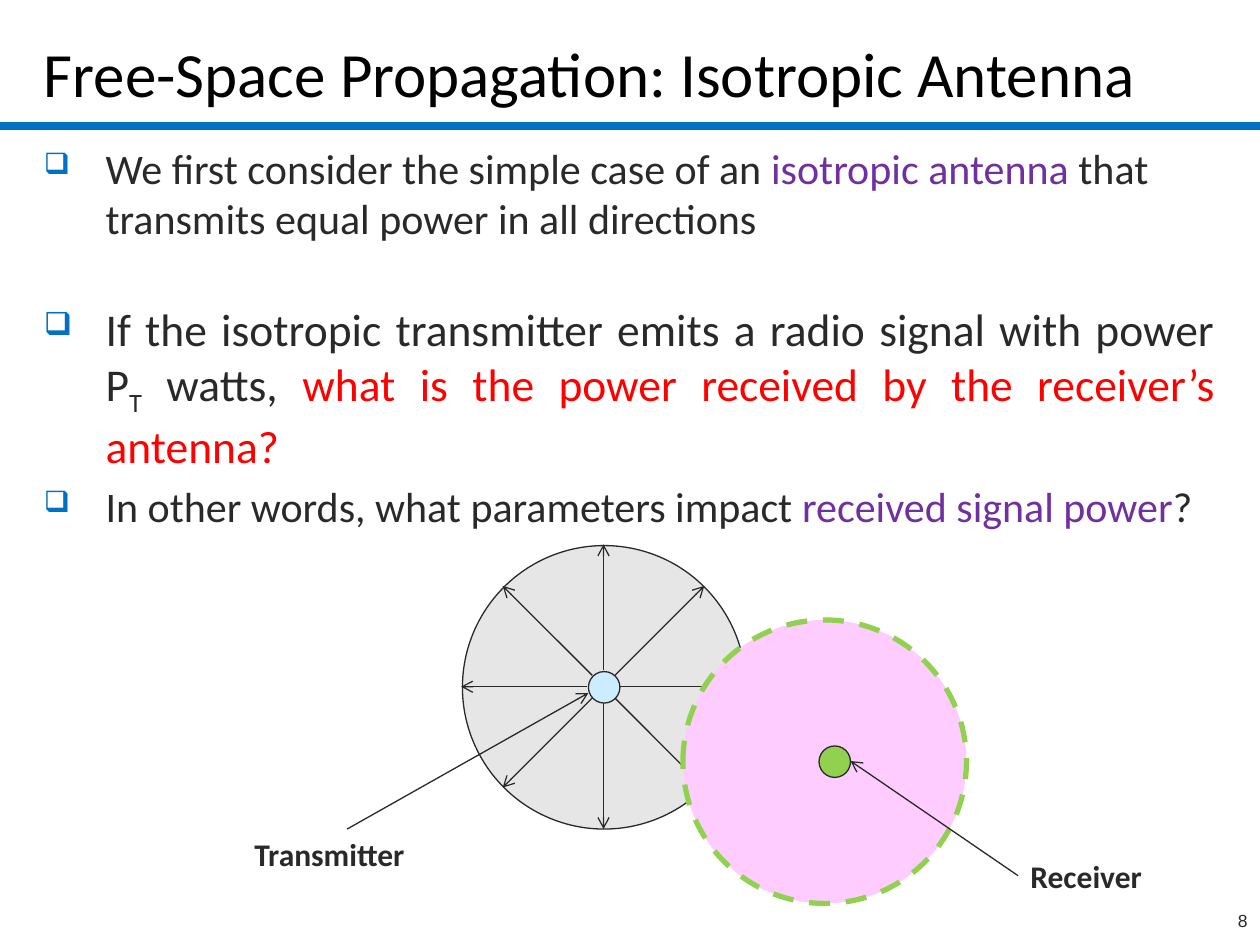
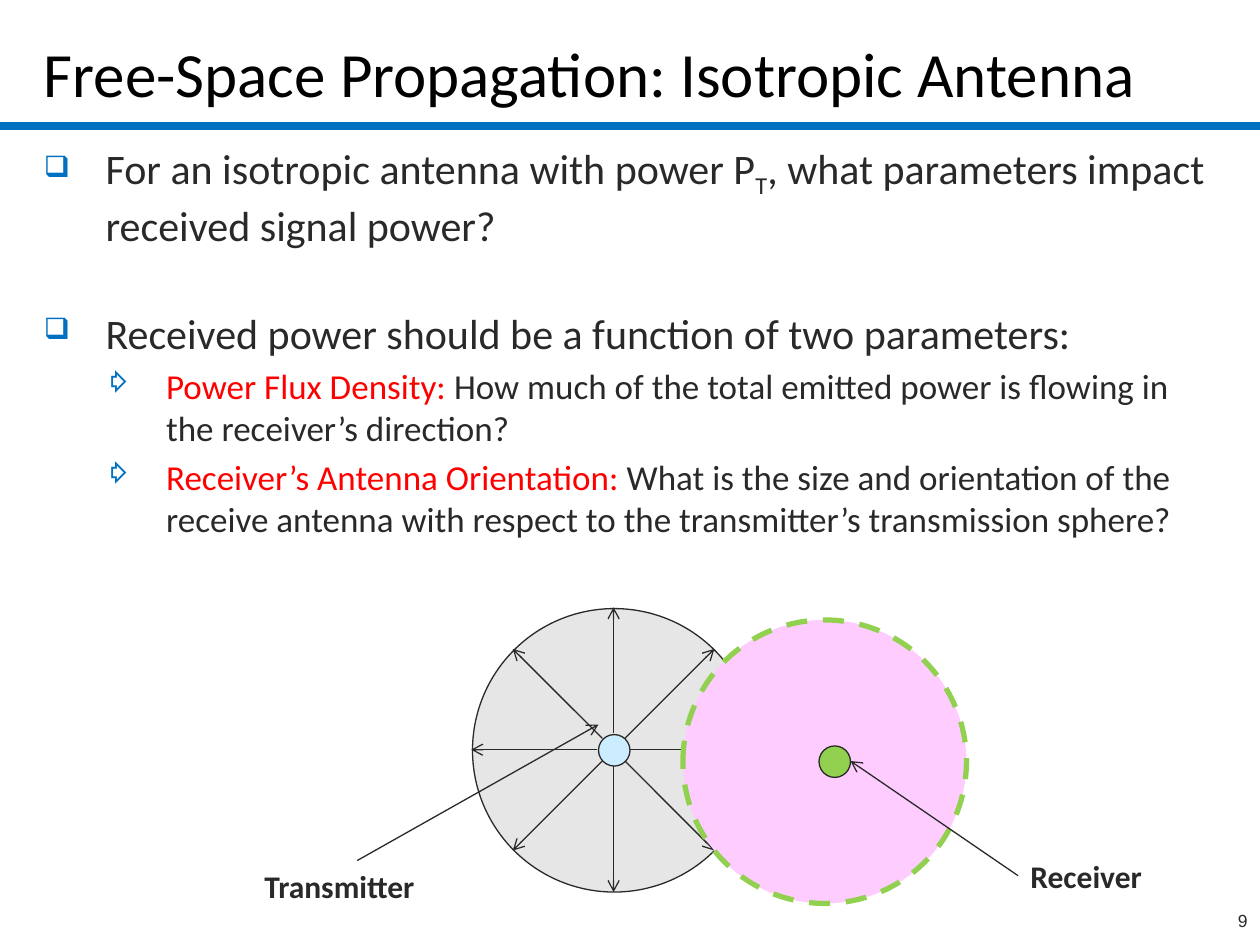
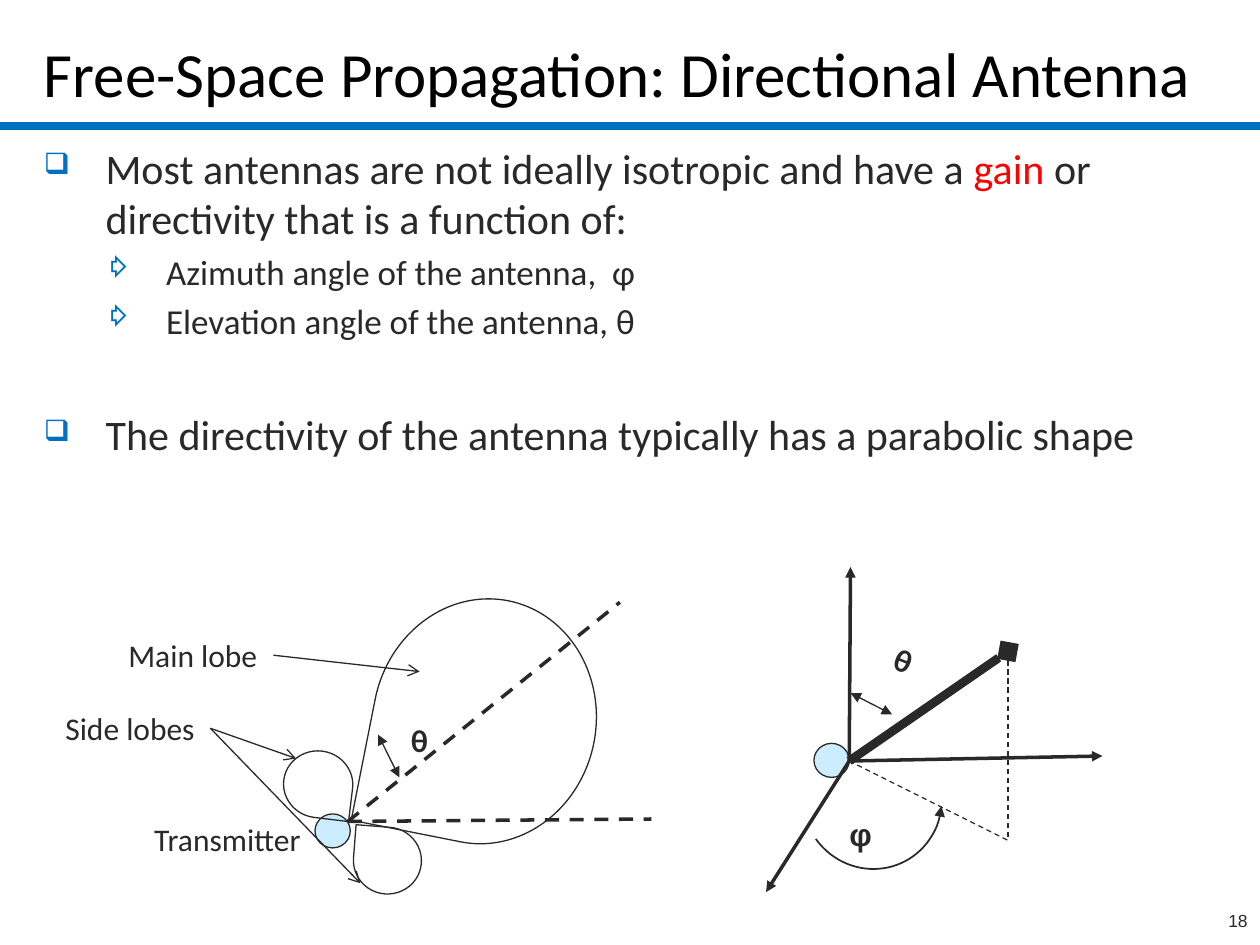
"""Build three lecture slides on free-space propagation."""
from dataclasses import dataclass
from math import cos, radians, sin
from typing import NamedTuple

from lxml.etree import SubElement
from pptx import Presentation
from pptx.dml.color import RGBColor
from pptx.enum.dml import MSO_LINE
from pptx.enum.shapes import MSO_CONNECTOR, MSO_SHAPE
from pptx.enum.text import MSO_ANCHOR, PP_ALIGN
from pptx.oxml.ns import qn
from pptx.util import Emu, Pt

EMU_PER_PX = 9144


@dataclass(frozen=True)
class Theme:
    """Colours, fonts and type sizes of the deck."""
    ink: str = "292929"
    title: str = "000000"
    accent: str = "0070C0"
    term: str = "7030A0"
    alert: str = "FF0000"
    sphere: str = "E6E6E6"
    antenna: str = "CCECFF"
    reach: str = "FFCCFF"
    receiver: str = "92D050"
    font: str = "Calibri"
    number_font: str = "Arial"
    title_size: int = 36
    point_size: int = 24
    question_size: int = 26
    detail_size: int = 20
    label_size: int = 18
    number_size: int = 10
    thin: float = 0.75
    axis: float = 2
    heavy: float = 5


THEME = Theme()


class Box(NamedTuple):
    """Left, top, width and height in px."""
    left: int
    top: int
    width: int
    height: int


class Spot(NamedTuple):
    """A place on the slide in px."""
    x: int
    y: int


class Span(NamedTuple):
    """A stretch of text in one colour, perhaps lowered."""
    text: str
    color: str = THEME.ink
    lowered: bool = False


class Marker(NamedTuple):
    """Bullet sign, its size in percent, and the hanging indent in px."""
    sign: str
    percent: int
    margin: int
    hang: int


MARKERS = (Marker("❑", 70, 49, 49), Marker("⇨", 65, 97, 48))


@dataclass(frozen=True)
class Point:
    """A bulleted paragraph; gap is extra space above it in points."""
    spans: tuple[Span, ...]
    level: int = 0
    size: int = THEME.point_size
    gap: float = 0
    align: PP_ALIGN = PP_ALIGN.LEFT


class Pointer(NamedTuple):
    """An arrow from a side of a label to a target."""
    side: int
    target: Spot


@dataclass(frozen=True)
class Label:
    """A caption in the diagram with its pointers."""
    text: str
    box: Box
    pointers: tuple[Pointer, ...] = ()
    bold: bool = False
    align: PP_ALIGN = PP_ALIGN.LEFT
    font: str = THEME.font
    rotation: float = 0


@dataclass(frozen=True)
class Stroke:
    """A straight line with optional arrowheads."""
    start: Spot
    end: Spot
    width: float = THEME.thin
    color: str = THEME.ink
    dashed: bool = False
    head: str = ""
    tail: str = ""


@dataclass(frozen=True)
class Figure:
    """A preset shape; an empty fill leaves it open."""
    kind: MSO_SHAPE
    box: Box
    fill: str = ""
    line: str = THEME.ink
    width: float = THEME.thin
    dashed: bool = False
    rotation: float = 0


def px(length: float) -> Emu:
    """Turn px into EMU."""
    return Emu(round(length * EMU_PER_PX))


def style_run(run, size: int, color: str, font: str = THEME.font, bold: bool = False) -> None:
    """Give a run its font, size and colour."""
    run.font.name, run.font.size, run.font.bold = font, Pt(size), bold
    run.font.color.rgb = RGBColor.from_string(color)


def add_box(slide, box: Box):
    """Add an empty wrapping text box."""
    holder = slide.shapes.add_textbox(*map(px, box))
    holder.text_frame.word_wrap = True
    return holder


def add_line_of_text(slide, box: Box, text: str, size: int, color: str = THEME.ink,
                     font: str = THEME.font, bold: bool = False,
                     align: PP_ALIGN = PP_ALIGN.LEFT):
    """Add a text box that holds one paragraph in one style."""
    holder = add_box(slide, box)
    holder.text_frame.text = text
    paragraph = holder.text_frame.paragraphs[0]
    paragraph.alignment = align
    style_run(paragraph.runs[0], size, color, font, bold)
    return holder


def add_arrowheads(shape, head: str, tail: str) -> None:
    """Put arrowheads on the ends of a line."""
    outline = shape.line._get_or_add_ln()
    for tag, kind in (("a:headEnd", head), ("a:tailEnd", tail)):
        if kind:
            SubElement(outline, qn(tag)).set("type", kind)


def style_line(line, color: str, width: float, dashed: bool) -> None:
    """Give an outline its colour, width and dash."""
    line.color.rgb = RGBColor.from_string(color)
    line.width = Pt(width)
    if dashed:
        line.dash_style = MSO_LINE.DASH


def add_stroke(slide, stroke: Stroke):
    """Draw a straight connector."""
    connector = slide.shapes.add_connector(
        MSO_CONNECTOR.STRAIGHT, *map(px, (*stroke.start, *stroke.end)))
    style_line(connector.line, stroke.color, stroke.width, stroke.dashed)
    add_arrowheads(connector, stroke.head, stroke.tail)
    SubElement(connector._element.spPr, qn("a:effectLst"))
    return connector


def add_figure(slide, figure: Figure):
    """Draw a preset shape."""
    shape = slide.shapes.add_shape(figure.kind, *map(px, figure.box))
    shape.shadow.inherit = False
    shape.rotation = figure.rotation
    if figure.fill:
        shape.fill.solid()
        shape.fill.fore_color.rgb = RGBColor.from_string(figure.fill)
    else:
        shape.fill.background()
    style_line(shape.line, figure.line, figure.width, figure.dashed)
    return shape


def add_label(slide, label: Label) -> None:
    """Write a caption and draw its pointers."""
    caption = add_line_of_text(slide, label.box, label.text, THEME.label_size,
                               font=label.font, bold=label.bold, align=label.align)
    caption.rotation = label.rotation
    for side, target in label.pointers:
        pointer = add_stroke(slide, Stroke(target, target, tail="arrow"))
        pointer.begin_connect(caption, side)


def add_marker(paragraph, marker: Marker) -> None:
    """Give a paragraph its bullet and hanging indent."""
    properties = paragraph._p.get_or_add_pPr()
    properties.set("marL", str(px(marker.margin)))
    properties.set("indent", str(px(-marker.hang)))
    color = SubElement(properties, qn("a:buClr"))
    SubElement(color, qn("a:srgbClr")).set("val", THEME.accent)
    SubElement(properties, qn("a:buSzPct")).set("val", str(marker.percent * 1000))
    SubElement(properties, qn("a:buChar")).set("char", marker.sign)


def add_points(slide, box: Box, points: list[Point]) -> None:
    """Write the bulleted body."""
    frame = add_box(slide, box).text_frame
    for index, point in enumerate(points):
        paragraph = frame.add_paragraph() if index else frame.paragraphs[0]
        paragraph.level = point.level
        paragraph.alignment = point.align
        paragraph.space_before = Pt(0.2 * point.size + point.gap)
        add_marker(paragraph, MARKERS[point.level])
        for span in point.spans:
            run = paragraph.add_run()
            run.text = span.text
            style_run(run, point.size, span.color)
            if span.lowered:
                run._r.get_or_add_rPr().set("baseline", "-25000")


def add_page(deck, title: str, number: int, points: list[Point]):
    """Add a slide with rule, title, body and number."""
    slide = deck.slides.add_slide(deck.slide_layouts[6])
    add_stroke(slide, Stroke(Spot(0, 100), Spot(1000, 100), THEME.heavy, THEME.accent))
    heading = add_line_of_text(slide, Box(25, 11, 950, 81), title, THEME.title_size, THEME.title)
    heading.text_frame.vertical_anchor = MSO_ANCHOR.BOTTOM
    add_points(slide, Box(25, 108, 950, 583), points)
    add_line_of_text(slide, Box(792, 717, 208, 33), str(number), THEME.number_size,
                     font=THEME.number_font, align=PP_ALIGN.RIGHT)
    return slide


def circle(center: Spot, diameter: int, fill: str, **outline) -> Figure:
    """Describe a filled circle around a centre."""
    corner = (center.x - diameter // 2, center.y - diameter // 2)
    return Figure(MSO_SHAPE.OVAL, Box(*corner, diameter, diameter), fill, **outline)


def add_isotropic_scene(slide, source: Spot, transmitter: Box, aim: Spot) -> None:
    """Draw the transmission sphere and the receiver beside it."""
    add_figure(slide, circle(source, 225, THEME.sphere))
    add_figure(slide, circle(source, 25, THEME.antenna))
    for angle in range(0, 360, 45):
        inner, outer = (
            Spot(round(source.x + radius * cos(radians(angle))),
                 round(source.y + radius * sin(radians(angle))))
            for radius in (12.5, 112.5))
        add_stroke(slide, Stroke(inner, outer, tail="arrow"))
    add_label(slide, Label("Transmitter", transmitter, (Pointer(0, aim),), bold=True))
    add_figure(slide, circle(Spot(654, 604), 225, THEME.reach,
                             line=THEME.receiver, width=3, dashed=True))
    add_figure(slide, circle(Spot(662, 604), 25, THEME.receiver))
    add_label(slide, Label("Receiver", Box(808, 675, 133, 40),
                           (Pointer(1, Spot(675, 604)),), bold=True))


def add_lobes(slide) -> None:
    """Draw the lobes of a directional antenna."""
    origin = Spot(276, 652)
    drop = MSO_SHAPE.TEAR
    for figure in (
        Figure(drop, Box(296, 475, 177, 195), rotation=191.2),
        Figure(MSO_SHAPE.OVAL, Box(250, 646, 28, 27), THEME.antenna),
        Figure(drop, Box(226, 595, 53, 55), rotation=96.9),
        Figure(drop, Box(281, 656, 53, 54), rotation=274.4),
    ):
        add_figure(slide, figure)
    for end in (Spot(492, 478), Spot(517, 650)):
        add_stroke(slide, Stroke(origin, end, THEME.axis, dashed=True))
    add_stroke(slide, Stroke(Spot(300, 583), Spot(317, 617), head="triangle", tail="triangle"))
    for label in (
        Label("Transmitter", Box(92, 646, 177, 43), align=PP_ALIGN.CENTER),
        Label("Main lobe", Box(92, 500, 125, 40), (Pointer(3, Spot(333, 533)),)),
        Label("Side lobes", Box(42, 558, 125, 40),
              (Pointer(3, Spot(235, 602)), Pointer(3, Spot(286, 701)))),
        Label("θ", Box(308, 567, 50, 40), bold=True, align=PP_ALIGN.CENTER),
    ):
        add_label(slide, label)


def add_angles(slide) -> None:
    """Draw the axes with azimuth and elevation angles."""
    origin, tip, foot = Spot(674, 604), Spot(800, 517), Spot(800, 667)
    add_figure(slide, Figure(MSO_SHAPE.OVAL, Box(646, 590, 28, 27), THEME.antenna))
    add_stroke(slide, Stroke(origin, tip, THEME.heavy, tail="diamond"))
    for end in (Spot(875, 600), Spot(675, 450), Spot(608, 708)):
        add_stroke(slide, Stroke(origin, end, THEME.axis, tail="triangle"))
    for start in (tip, origin):
        add_stroke(slide, Stroke(start, foot, dashed=True))
    add_stroke(slide, Stroke(Spot(675, 550), Spot(708, 567), head="triangle", tail="triangle"))
    azimuth = add_figure(slide, Figure(MSO_SHAPE.ARC, Box(637, 577, 110, 113),
                                       width=1, rotation=152.2))
    azimuth.adjustments[0], azimuth.adjustments[1] = 128.58, 211.08
    add_arrowheads(azimuth, "triangle", "")
    add_label(slide, Label("θ", Box(680, 503, 63, 71), bold=True,
                           align=PP_ALIGN.CENTER, rotation=21.5))
    add_label(slide, Label("φ", Box(658, 642, 50, 40), bold=True,
                           align=PP_ALIGN.CENTER, font=THEME.number_font))


def detail(*spans: Span) -> Point:
    """Describe a second-level point."""
    return Point(spans, level=1, size=THEME.detail_size)


def main() -> None:
    """Build and save the deck."""
    deck = Presentation()
    deck.slide_width, deck.slide_height = px(1000), px(750)
    isotropic = "Free-Space Propagation: Isotropic Antenna"

    question = add_page(deck, isotropic, 8, [
        Point((Span("We first consider the simple case of an "),
               Span("isotropic antenna ", THEME.term),
               Span("that transmits equal power in all directions"))),
        Point((Span("If the isotropic transmitter emits a radio signal with power P"),
               Span("T", lowered=True), Span(" watts, "),
               Span("what is the power received by the receiver’s antenna?", THEME.alert)),
              size=THEME.question_size, gap=28, align=PP_ALIGN.JUSTIFY),
        Point((Span("In other words, what parameters impact "),
               Span("received signal power", THEME.term), Span("?"))),
    ])
    add_isotropic_scene(question, Spot(479, 545), Box(192, 658, 167, 40), Spot(467, 550))

    parameters = add_page(deck, isotropic, 9, [
        Point((Span("For an isotropic antenna with power P"), Span("T", lowered=True),
               Span(", what parameters impact received signal power?"))),
        Point((Span("Received power should be a function of two parameters:"),), gap=28),
        detail(Span("Power Flux Density:", THEME.alert),
               Span(" How much of the total emitted power is flowing in "
                    "the receiver’s direction?")),
        detail(Span("Receiver’s Antenna Orientation:", THEME.alert),
               Span(" What is the size and orientation of the receive antenna "
                    "with respect to the transmitter’s transmission sphere?")),
    ])
    add_isotropic_scene(parameters, Spot(487, 595), Box(200, 683, 167, 40), Spot(475, 575))

    directional = add_page(deck, "Free-Space Propagation: Directional Antenna", 18, [
        Point((Span("Most antennas are not ideally isotropic and have a "),
               Span("gain ", THEME.alert),
               Span("or directivity that is a function of:"))),
        detail(Span("Azimuth angle of the antenna,  φ")),
        detail(Span("Elevation angle of the antenna, θ")),
        Point((Span("The directivity of the antenna typically has a parabolic shape"),), gap=34),
    ])
    add_lobes(directional)
    add_angles(directional)

    deck.save("out.pptx")


if __name__ == "__main__":
    main()
